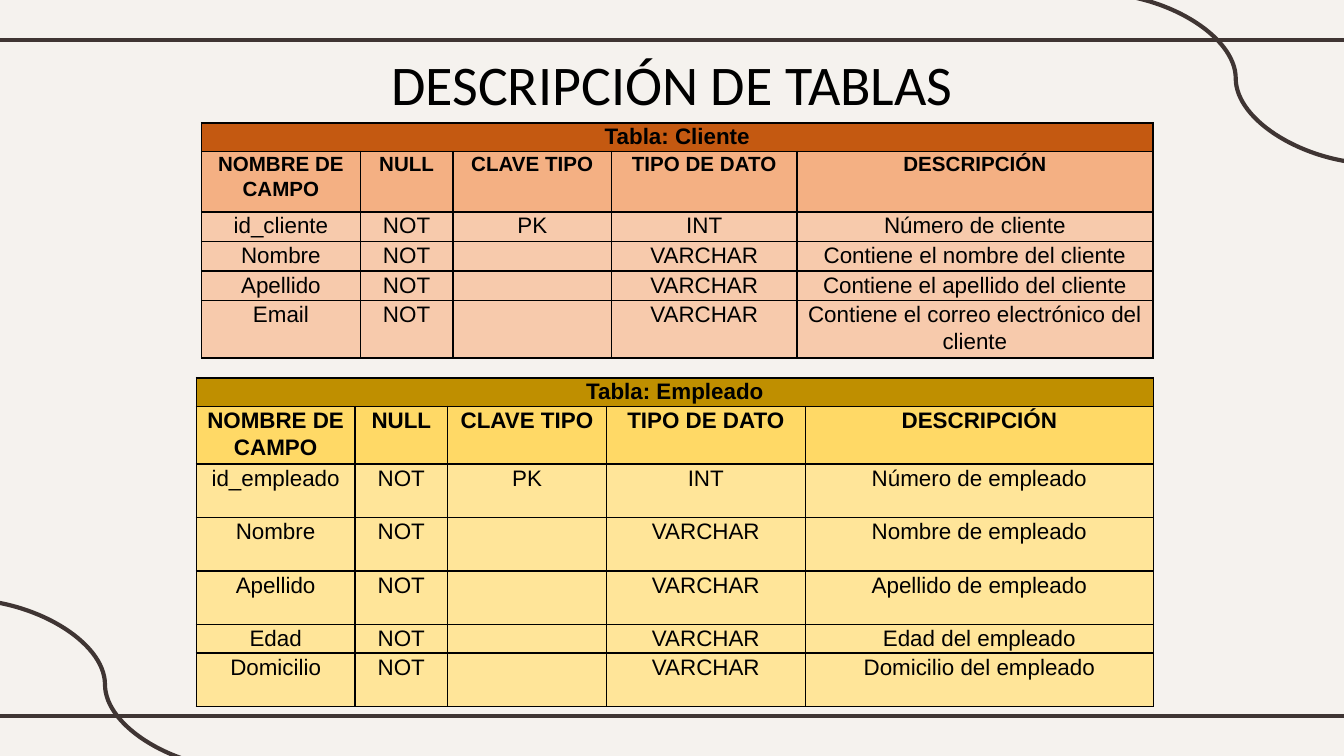
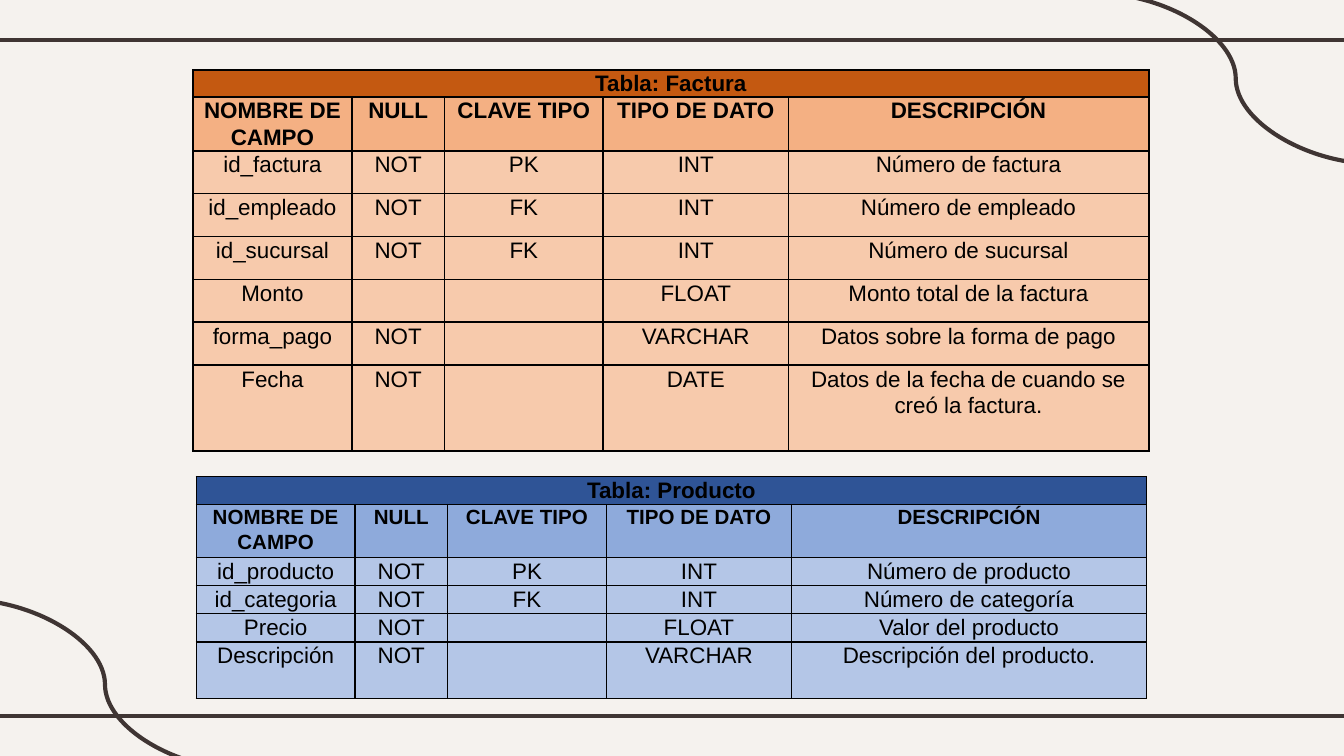
"""Build two slides that describe the tables of a sales database."""
from lxml.etree import SubElement
from pptx import Presentation
from pptx.dml.color import RGBColor
from pptx.enum.shapes import MSO_CONNECTOR
from pptx.enum.text import MSO_ANCHOR, MSO_AUTO_SIZE, PP_ALIGN
from pptx.oxml.ns import qn
from pptx.util import Cm, Pt

CREAM = RGBColor(0xF5, 0xF2, 0xEE)
BROWN = RGBColor(0x3F, 0x35, 0x33)
BLACK = RGBColor(0x00, 0x00, 0x00)
ORANGE = (RGBColor(0xC4, 0x59, 0x11), RGBColor(0xF4, 0xB0, 0x83), RGBColor(0xF7, 0xCA, 0xAC))
GOLD = (RGBColor(0xBF, 0x8F, 0x00), RGBColor(0xFF, 0xD9, 0x66), RGBColor(0xFF, 0xE5, 0x99))
BLUE = (RGBColor(0x2F, 0x54, 0x96), RGBColor(0x8E, 0xAA, 0xDB), RGBColor(0xB4, 0xC6, 0xE7))

TITLE_ONLY, BLANK = 5, 6
HEADER = ("NOMBRE DE CAMPO", "NULL", "CLAVE TIPO", "TIPO DE DATO", "DESCRIPCIÓN")
FIRST_COLUMNS = (3, 1.75, 3)

CLIENTE = {
    "name": "Tabla: Cliente", "colors": ORANGE, "header_size": 11,
    "position": (3.81, 2.32), "last_columns": (3.5, 6.73),
    "heights": (0.53, 1.14, 0.56, 0.56, 0.56, 1.07),
    "fields": [
        ("id_cliente", "NOT", "PK", "INT", "Número de cliente"),
        ("Nombre", "NOT", "", "VARCHAR", "Contiene el nombre del cliente"),
        ("Apellido", "NOT", "", "VARCHAR", "Contiene el apellido del cliente"),
        ("Email", "NOT", "", "VARCHAR", "Contiene el correo electrónico del cliente"),
    ],
}
EMPLEADO = {
    "name": "Tabla: Empleado", "colors": GOLD, "header_size": 12,
    "position": (3.71, 7.14), "last_columns": (3.76, 6.58),
    "heights": (0.53, 1.09, 1.01, 1.01, 1.01, 0.53, 1.01),
    "fields": [
        ("id_empleado", "NOT", "PK", "INT", "Número de empleado"),
        ("Nombre", "NOT", "", "VARCHAR", "Nombre de empleado"),
        ("Apellido", "NOT", "", "VARCHAR", "Apellido de empleado"),
        ("Edad", "NOT", "", "VARCHAR", "Edad del empleado"),
        ("Domicilio", "NOT", "", "VARCHAR", "Domicilio del empleado"),
    ],
}
FACTURA = {
    "name": "Tabla: Factura", "colors": ORANGE, "header_size": 12,
    "position": (3.65, 1.32), "last_columns": (3.5, 6.81),
    "heights": (0.51, 1.02, 0.81, 0.81, 0.81, 0.81, 0.81, 1.63),
    "fields": [
        ("id_factura", "NOT", "PK", "INT", "Número de factura"),
        ("id_empleado", "NOT", "FK", "INT", "Número de empleado"),
        ("id_sucursal", "NOT", "FK", "INT", "Número de sucursal"),
        ("Monto", "", "", "FLOAT", "Monto total de la factura"),
        ("forma_pago", "NOT", "", "VARCHAR", "Datos sobre la forma de pago"),
        ("Fecha", "NOT", "", "DATE", "Datos de la fecha de cuando se creó la factura."),
    ],
}
PRODUCTO = {
    "name": "Tabla: Producto", "colors": BLUE, "header_size": 11,
    "position": (3.71, 9.01), "last_columns": (3.5, 6.71),
    "heights": (0.53, 1, 0.53, 0.53, 0.53, 1.07),
    "fields": [
        ("id_producto", "NOT", "PK", "INT", "Número de producto"),
        ("id_categoria", "NOT", "FK", "INT", "Número de categoría"),
        ("Precio", "NOT", "", "FLOAT", "Valor del producto"),
        ("Descripción", "NOT", "", "VARCHAR", "Descripción del producto."),
    ],
}
SLIDES = [("DESCRIPCIÓN DE TABLAS", (CLIENTE, EMPLEADO)), ("", (FACTURA, PRODUCTO))]

FRAME_LINES = [
    (MSO_CONNECTOR.STRAIGHT, (-0.2, 0.76, 25.6, 0.76)),
    (MSO_CONNECTOR.STRAIGHT, (-0.2, 13.54, 25.6, 13.54)),
    (MSO_CONNECTOR.CURVE, (-0.69, 11.33, 4.66, 14.55)),
    (MSO_CONNECTOR.CURVE, (20.68, -0.13, 26.03, 3.1)),
]


def decorate_master(presentation, slide):
    """Set the background and move the frame lines from the slide to the master."""
    master = presentation.slide_master
    master.background.fill.solid()
    master.background.fill.fore_color.rgb = CREAM
    for number, (kind, ends) in enumerate(FRAME_LINES, start=20):
        connector = slide.shapes.add_connector(kind, *map(Cm, ends))
        connector.line.color.rgb = BROWN
        connector.line.width = Pt(2.25)
        element = connector.element
        SubElement(element.spPr, qn("a:effectLst"))
        element.nvCxnSpPr.cNvPr.set("id", str(number))
        master.shapes.element.append(element)


def style_font(font, name, size, bold=False):
    """Format a black font."""
    font.name, font.size, font.bold = name, Pt(size), bold
    font.color.rgb = BLACK


def add_title(slide, text):
    """Fill and place the title placeholder."""
    title = slide.shapes.title
    title.left, title.top, title.width, title.height = map(Cm, (5.72, 0.79, 13.97, 1.55))
    frame = title.text_frame
    frame.text = text
    frame.auto_size = MSO_AUTO_SIZE.SHAPE_TO_FIT_TEXT
    frame.vertical_anchor = MSO_ANCHOR.MIDDLE
    paragraph = frame.paragraphs[0]
    paragraph.alignment = PP_ALIGN.CENTER
    style_font(paragraph.runs[0].font, "Calibri", 30)


def add_borders(cell):
    """Draw a black line of one point on each side of a cell."""
    properties = cell._tc.get_or_add_tcPr()
    for side in ("lnL", "lnR", "lnT", "lnB"):
        line = SubElement(properties, qn(f"a:{side}"), w=str(Pt(1)))
        fill = SubElement(line, qn("a:solidFill"))
        SubElement(fill, qn("a:srgbClr"), val=str(BLACK))


def fill_cell(cell, text, color, size, bold):
    """Write and format one cell."""
    add_borders(cell)
    cell.fill.solid()
    cell.fill.fore_color.rgb = color
    cell.margin_left = cell.margin_right = Cm(0.19)
    cell.margin_top = cell.margin_bottom = 0
    paragraph = cell.text_frame.paragraphs[0]
    paragraph.text = text
    paragraph.alignment = PP_ALIGN.CENTER
    paragraph.line_spacing = 1.07
    paragraph.space_after = Pt(8)
    for run in paragraph.runs:
        style_font(run.font, "Arial", size, bold)
    if not text:
        SubElement(paragraph._p, qn("a:endParaRPr"), sz=str(size * 100))


def add_field_table(slide, data):
    """Add a table with a merged name row, a header row and its fields."""
    widths = FIRST_COLUMNS + data["last_columns"]
    heights = data["heights"]
    name_row = (data["name"],) + ("",) * (len(HEADER) - 1)
    rows = [name_row, HEADER] + data["fields"]
    box = (*data["position"], sum(widths), sum(heights))
    table = slide.shapes.add_table(len(rows), len(HEADER), *map(Cm, box)).table
    table.first_row = table.horz_banding = False
    for column, width in zip(table.columns, widths):
        column.width = Cm(width)
    for row, height in zip(table.rows, heights):
        row.height = Cm(height)
    for index, texts in enumerate(rows):
        color = data["colors"][min(index, 2)]
        size = data["header_size"] if index == 1 else 12
        for column, text in enumerate(texts):
            fill_cell(table.cell(index, column), text, color, size, index < 2)
    table.cell(0, 0).merge(table.cell(0, len(HEADER) - 1))


def main():
    """Build and save the presentation."""
    presentation = Presentation()
    presentation.slide_width, presentation.slide_height = Cm(25.4), Cm(14.29)
    for title, tables in SLIDES:
        layout = presentation.slide_layouts[TITLE_ONLY if title else BLANK]
        slide = presentation.slides.add_slide(layout)
        if title:
            add_title(slide, title)
        for data in tables:
            add_field_table(slide, data)
    decorate_master(presentation, presentation.slides[0])
    presentation.save("out.pptx")


if __name__ == "__main__":
    main()
